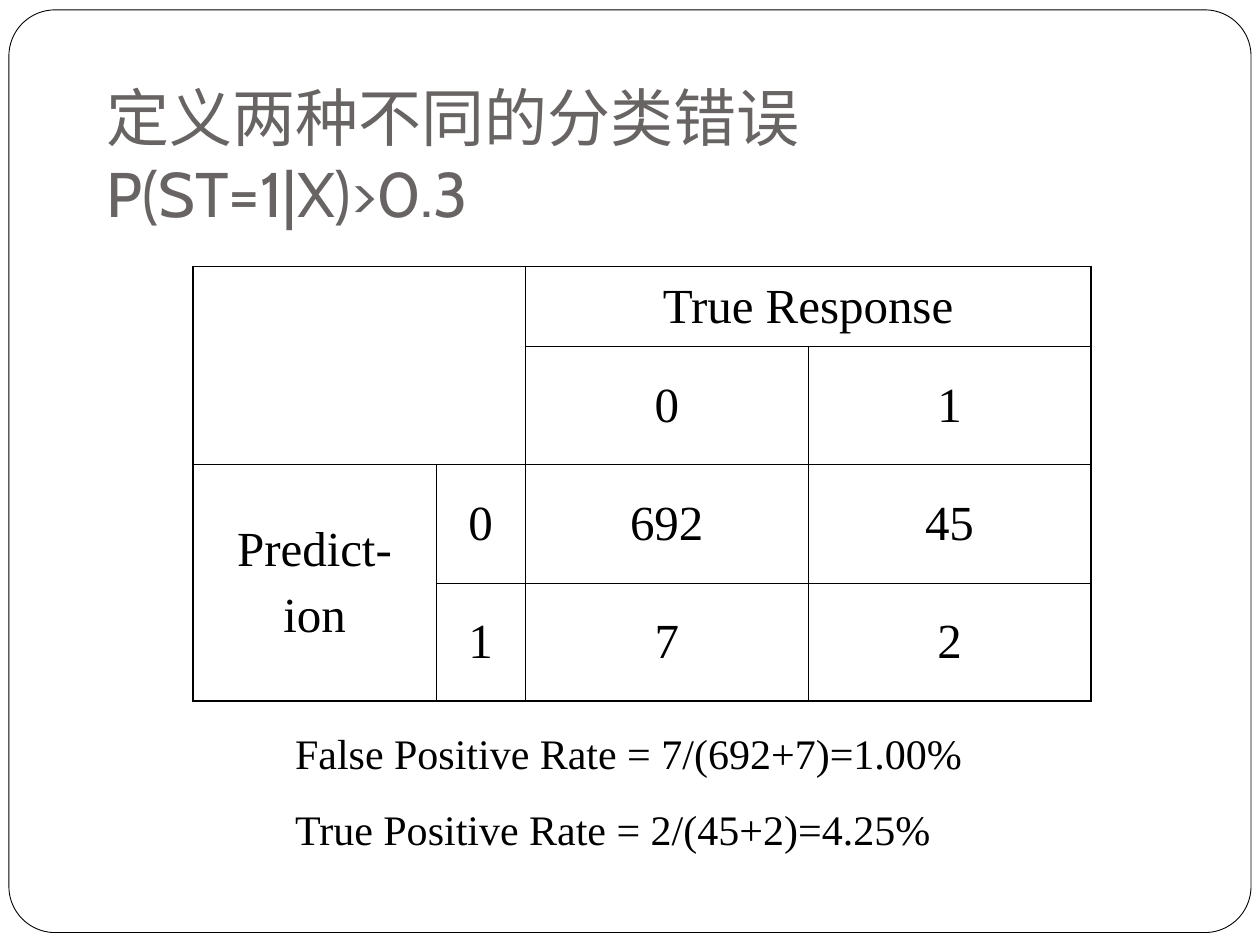
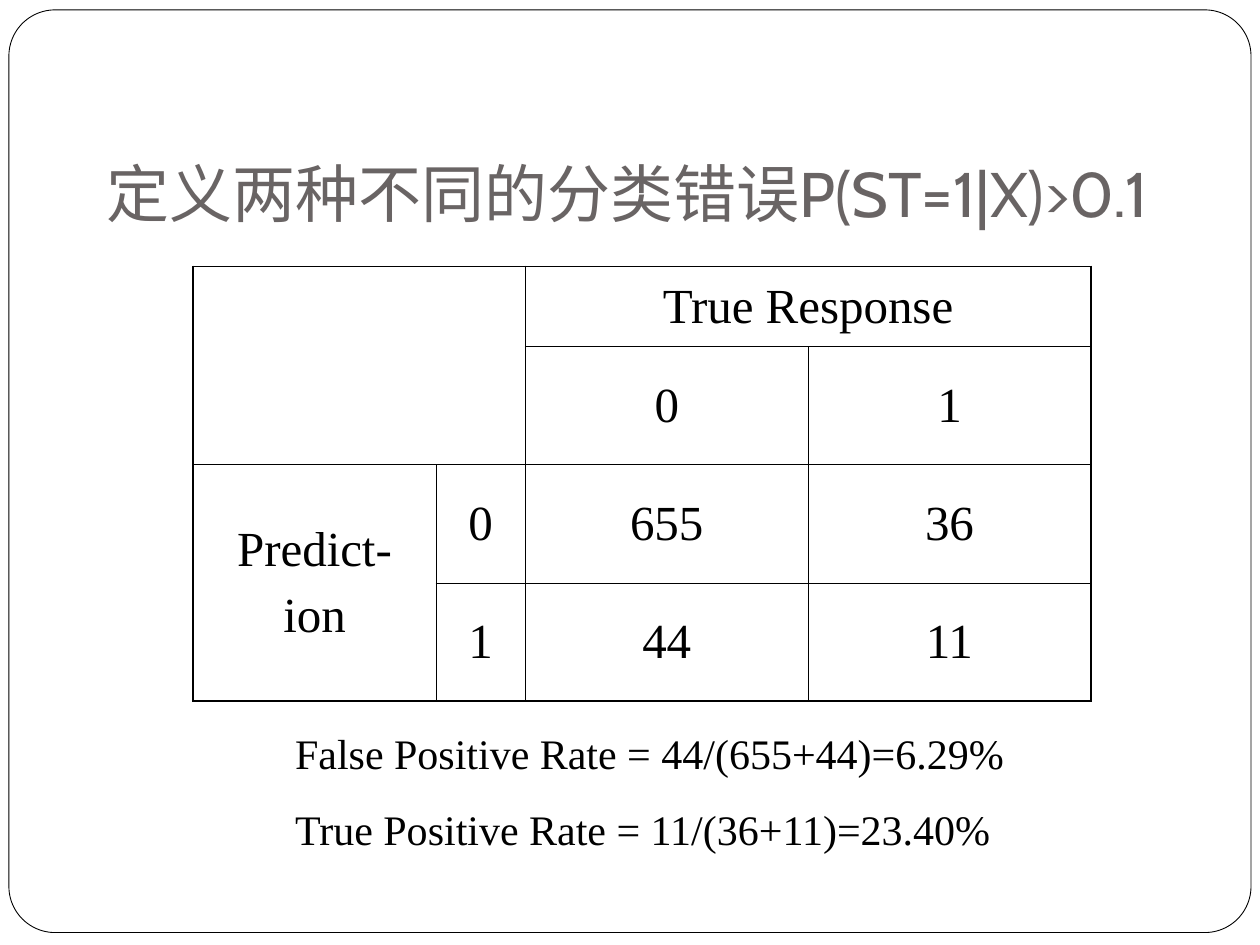
import pptx
import pptx.dml.color
import pptx.enum.shapes
import pptx.enum.text
import pptx.oxml
import pptx.oxml.ns
import pptx.util

Cm, Pt = pptx.util.Cm, pptx.util.Pt
RGBColor = pptx.dml.color.RGBColor
ALIGN = pptx.enum.text.PP_ALIGN
ANCHOR = pptx.enum.text.MSO_ANCHOR
AUTO_SIZE = pptx.enum.text.MSO_AUTO_SIZE

BLACK = RGBColor(0x00, 0x00, 0x00)
WHITE = RGBColor(0xFF, 0xFF, 0xFF)
TITLE_GREY = RGBColor(0x69, 0x64, 0x64)

TITLE_FONT = {"name": "Cabin", "size": Pt(36)}
TABLE_FONT = {"name": "Times New Roman", "size": Pt(28)}
RATE_FONT = {"name": "Times New Roman", "size": Pt(24)}
INSETS = {"margin_left": Cm(0.25), "margin_top": Cm(0.13),
          "margin_right": Cm(0.25), "margin_bottom": Cm(0.13)}

COL_WIDTHS = [4.9, 1.8, 5.7, 5.7]
ROW_HEIGHTS = [1.62, 2.38, 2.38, 2.38]
OUTER, INNER = Pt(1.08), Pt(0.45)


def set_all(obj, values):
    for name, value in values.items():
        setattr(obj, name, value)


def write(tf, lines, font, color, gap=0, align=ALIGN.LEFT):
    """Fill a text frame with one paragraph per line, gap points apart."""
    for i, line in enumerate(lines):
        p = tf.paragraphs[0] if i == 0 else tf.add_paragraph()
        p.text = line
        p.alignment = align
        p.space_before = Pt(gap if i else 0)
        set_all(p.font, font)
        p.font.color.rgb = color


def add_frame(s):
    """Draw the rounded page outline behind everything else."""
    sp = s.shapes.add_shape(pptx.enum.shapes.MSO_SHAPE.ROUNDED_RECTANGLE,
                            Cm(0.18), Cm(0.2), Cm(25.04), Cm(18.6))
    sp.adjustments[0] = 0.05
    sp.shadow.inherit = False
    sp.fill.solid()
    sp.fill.fore_color.rgb = WHITE
    sp.line.color.rgb = BLACK
    sp.line.width = Pt(0.5)
    sp.element.getparent().insert(2, sp.element)


def set_title(s, text):
    sp = s.shapes.title
    set_all(sp, {"left": Cm(1.9), "top": Cm(1.7),
                 "width": Cm(21.6), "height": Cm(3.18)})
    tf = sp.text_frame
    set_all(tf, {**INSETS, "margin_bottom": Cm(0.25), "word_wrap": True,
                 "auto_size": AUTO_SIZE.NONE,
                 "vertical_anchor": ANCHOR.BOTTOM})
    write(tf, [text], TITLE_FONT, TITLE_GREY)


def set_borders(cell, widths):
    tcPr = cell._tc.get_or_add_tcPr()
    for side, width in widths.items():
        tcPr.append(pptx.oxml.parse_xml(
            f'<a:ln{side} {pptx.oxml.ns.nsdecls("a")} w="{width}">'
            f'<a:solidFill><a:srgbClr val="{BLACK}"/></a:solidFill>'
            f'</a:ln{side}>'))


def add_confusion_table(s, counts):
    """Add the 2 x 2 counts, predictions down and true responses across."""
    n_rows, n_cols = len(ROW_HEIGHTS), len(COL_WIDTHS)
    table = s.shapes.add_table(n_rows, n_cols, Cm(3.89), Cm(5.37),
                               Cm(sum(COL_WIDTHS)), Cm(sum(ROW_HEIGHTS))).table
    set_all(table, {"first_row": False, "horz_banding": False})
    for col, width in zip(table.columns, COL_WIDTHS):
        col.width = Cm(width)
    for row, height in zip(table.rows, ROW_HEIGHTS):
        row.height = Cm(height)

    for first, last in [((0, 0), (1, 1)), ((0, 2), (0, 3)), ((2, 0), (3, 0))]:
        table.cell(*first).merge(table.cell(*last))

    texts = {(0, 2): ["True Response"], (2, 0): ["Predict-", "ion"]}
    for i in range(2):
        texts[1, 2 + i] = texts[2 + i, 1] = [str(i)]
        for j in range(2):
            texts[2 + i, 2 + j] = [str(counts[i][j])]

    for r in range(n_rows):
        for c in range(n_cols):
            cell = table.cell(r, c)
            if cell.is_spanned:
                continue
            bottom, right = r, c
            if cell.is_merge_origin:
                bottom += cell.span_height - 1
                right += cell.span_width - 1
            set_borders(cell, {"L": INNER if c else OUTER,
                               "R": OUTER if right == n_cols - 1 else INNER,
                               "T": INNER if r else OUTER,
                               "B": OUTER if bottom == n_rows - 1 else INNER})
            cell.fill.background()
            set_all(cell, {**INSETS, "vertical_anchor": ANCHOR.MIDDLE})
            write(cell.text_frame, texts.get((r, c), [""]), TABLE_FONT, BLACK,
                  gap=7, align=ALIGN.CENTER)


def add_rates(s, counts, rates, width):
    """Show how both rates follow from the counts."""
    names = ["False Positive Rate", "True Positive Rate"]
    lines = [f"{name} = {pos}/({neg}+{pos})={rate}"
             for name, neg, pos, rate in zip(names, *counts, rates)]
    tf = s.shapes.add_textbox(Cm(5.7), Cm(14.53),
                              Cm(width), Cm(2.82)).text_frame
    set_all(tf, {**INSETS, "word_wrap": True,
                 "auto_size": AUTO_SIZE.SHAPE_TO_FIT_TEXT})
    write(tf, lines, RATE_FONT, BLACK, gap=15)


def add_threshold_slide(prs, title, counts, rates, rates_width):
    s = prs.slides.add_slide(prs.slide_layouts[5])
    add_frame(s)
    set_title(s, title)
    add_confusion_table(s, counts)
    add_rates(s, counts, rates, rates_width)


def main():
    prs = pptx.Presentation()
    set_all(prs, {"slide_width": Cm(25.4), "slide_height": Cm(19.05)})
    add_threshold_slide(prs, "定义两种不同的分类错误\vP(ST=1|X)>0.3",
                        [(692, 45), (7, 2)], ["1.00%", "4.25%"], 14)
    add_threshold_slide(prs, "定义两种不同的分类错误P(ST=1|X)>0.1",
                        [(655, 36), (44, 11)], ["6.29%", "23.40%"], 16)
    prs.save("out.pptx")


if __name__ == "__main__":
    main()
